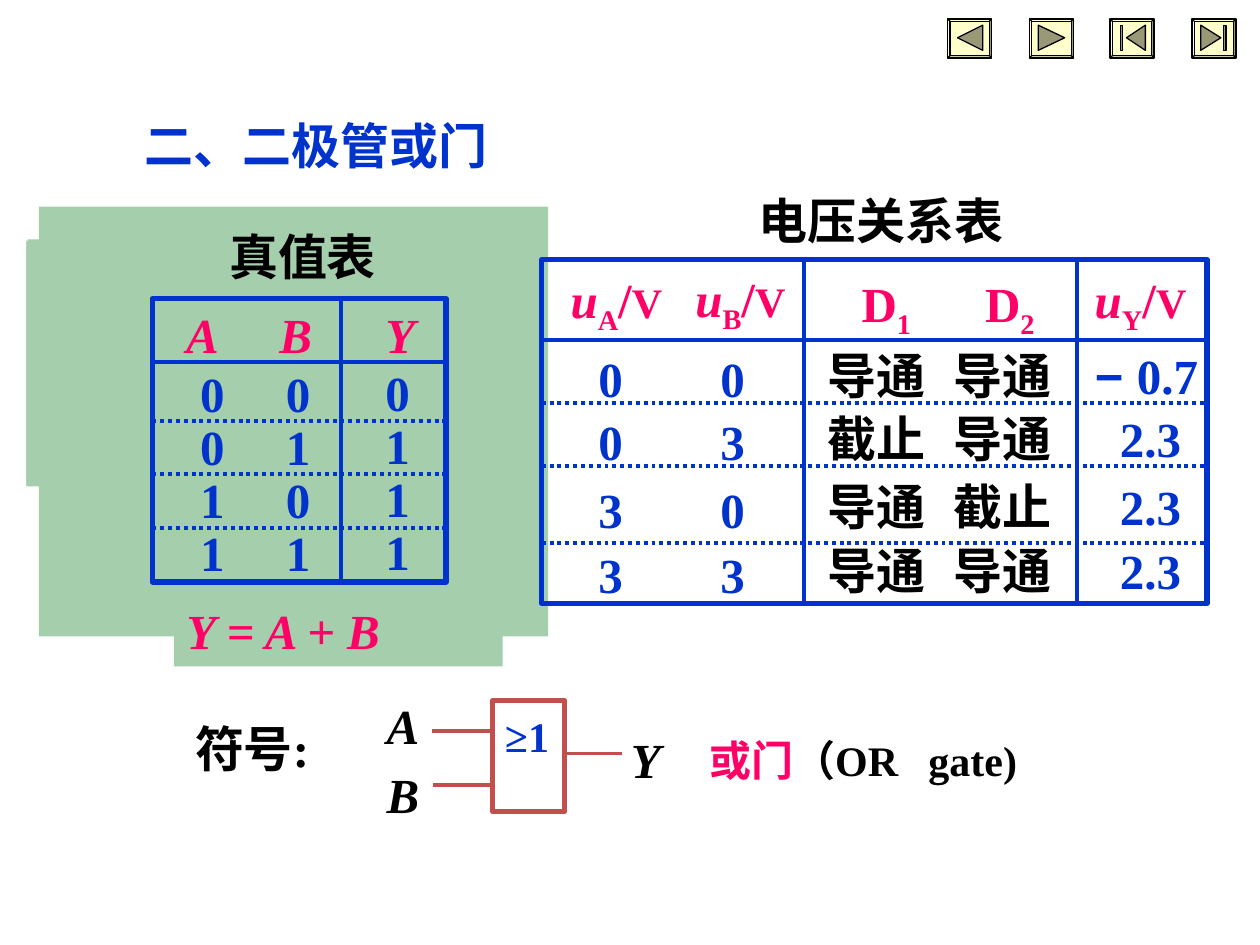
from dataclasses import dataclass
from typing import Optional, Sequence

from lxml import etree
from pptx import Presentation
from pptx.dml.color import RGBColor
from pptx.enum.dml import MSO_LINE
from pptx.enum.shapes import MSO_CONNECTOR, MSO_SHAPE
from pptx.oxml.ns import qn
from pptx.util import Inches, Pt

RECT, BEVEL = MSO_SHAPE.RECTANGLE, MSO_SHAPE.BEVEL
STRAIGHT, DOTTED = MSO_CONNECTOR.STRAIGHT, MSO_LINE.ROUND_DOT

BLUE, PINK, BLACK = "0033CC", "FF0066", "000000"
RED, GREEN, CREAM, OLIVE = "C0504D", "A5CEAD", "FFFFCC", "999978"
SERIF, SANS, CJK = "Times New Roman", "Arial", "Noto Sans CJK SC"


@dataclass
class Run:
    text: str
    font: Optional[str] = None
    size: Optional[float] = None
    color: Optional[str] = None
    italic: Optional[bool] = None
    subscript: bool = False


@dataclass
class Button:
    left: float
    triangle: Sequence[tuple[float, float]]
    bar: Optional[float] = None


def rgb(color: str) -> RGBColor:
    return RGBColor.from_string(color)


def add_text(shapes, x: float, y: float, w: float, *lines, color: str = BLACK,
             size: float = 28, italic: bool = False, tab: Optional[float] = None,
             spacing: Optional[float] = None, h: float = 0.57) -> None:
    """Add a bold text box; a line is a string or a list of Runs."""
    tf = shapes.add_textbox(Inches(x), Inches(y), Inches(w), Inches(h)).text_frame
    tf.word_wrap = True
    for i, line in enumerate(lines):
        p = tf.paragraphs[0] if i == 0 else tf.add_paragraph()
        if spacing:
            p.line_spacing = spacing
        if tab:
            tabs = etree.SubElement(p._p.get_or_add_pPr(), qn("a:tabLst"))
            etree.SubElement(tabs, qn("a:tab"), pos=str(Inches(tab)), algn="l")
        p.font.name, p.font.size = SERIF, Pt(size)
        p.font.bold, p.font.italic = True, italic
        p.font.color.rgb = rgb(color)
        for run in [Run(line)] if isinstance(line, str) else line:
            r = p.add_run()
            r.text = run.text
            if run.font:
                r.font.name = run.font
            if run.size:
                r.font.size = Pt(run.size)
            if run.color:
                r.font.color.rgb = rgb(run.color)
            if run.italic is not None:
                r.font.italic = run.italic
            if run.subscript:
                r._r.get_or_add_rPr().set("baseline", "-25000")


def style(s, fill: Optional[str], line: Optional[str], width: float) -> None:
    s.shadow.inherit = False
    if fill:
        s.fill.solid()
        s.fill.fore_color.rgb = rgb(fill)
    else:
        s.fill.background()
    if line:
        s.line.color.rgb = rgb(line)
        s.line.width = Pt(width)
    else:
        s.line.fill.background()


def add_box(shapes, x: float, y: float, w: float, h: float, fill: Optional[str] = None,
            line: Optional[str] = None, width: float = 3, kind=RECT):
    s = shapes.add_shape(kind, Inches(x), Inches(y), Inches(w), Inches(h))
    style(s, fill, line, width)
    return s


def add_line(shapes, x1: float, y1: float, x2: float, y2: float,
             color: str = BLUE, dotted: bool = False) -> None:
    s = shapes.add_connector(STRAIGHT, Inches(x1), Inches(y1), Inches(x2), Inches(y2))
    s.line.color.rgb = rgb(color)
    s.line.width = Pt(2.25)
    if dotted:
        s.line.dash_style = DOTTED
    etree.SubElement(s._element.spPr, qn("a:effectLst"))


def add_grid(shapes, x: float, y: float, w: float, h: float, header: float,
             columns: Sequence[float], rows: Sequence[float]) -> None:
    """Frame with a solid header rule, column rules and dotted row rules."""
    add_line(shapes, x, header, x + w, header)
    for column in columns:
        add_line(shapes, column, y, column, y + h)
    add_box(shapes, x, y, w, h, line=BLUE)
    for row in rows:
        add_line(shapes, x, row, x + w, row, dotted=True)


def add_button(shapes, button: Button) -> None:
    top = 0.15
    s = add_box(shapes, button.left, top, 0.35, 0.31, CREAM, BLACK, 0.75, BEVEL)
    s.adjustments[0] = 0.06
    points = [(Inches(button.left + x), Inches(top + y)) for x, y in button.triangle]
    builder = shapes.build_freeform(*points[0], scale=1.0)
    builder.add_line_segments(points[1:], close=True)
    style(builder.convert_to_shape(), OLIVE, BLACK, 0.75)
    if button.bar is not None:
        add_box(shapes, button.left + button.bar, top + 0.05, 0.02, 0.2, OLIVE, BLACK, 0.75)


def voltage(subscript: str) -> list[Run]:
    return [Run("u", italic=True), Run(subscript, subscript=True), Run("/"), Run("V", size=24)]


def draw_truth_table(shapes) -> None:
    for x, y in ((0.22, 1.9), (0.21, 1.91), (0.21, 1.92), (0.27, 1.91)):
        add_box(shapes, x, y, 1.1, 1.94, GREEN)
    add_box(shapes, 0.31, 1.64, 4.04, 3.41, GREEN)
    add_text(shapes, 1.72, 1.75, 3.11, "真值表")
    add_text(shapes, 1.38, 2.37, 1.3, "A\tB", color=PINK, italic=True, tab=0.74)
    add_text(shapes, 2.96, 2.37, 0.54, "Y", color=PINK, italic=True)
    add_text(shapes, 1.49, 2.89, 1.17, "0\t0", "0\t1", "1\t0", "1\t1",
             color=BLUE, tab=0.68, spacing=0.9, h=1.78)
    add_text(shapes, 2.96, 2.88, 0.42, *"0111", color=BLUE, spacing=0.9, h=1.78)
    add_grid(shapes, 1.21, 2.37, 2.33, 2.25, 2.87, [2.71], [3.34, 3.76, 4.19])


def draw_voltage_table(shapes) -> None:
    add_text(shapes, 5.92, 1.46, 3.79, "电压关系表")
    for x, y, name in ((4.43, 2.09, "A"), (5.42, 2.08, "B"), (8.59, 2.09, "Y")):
        add_text(shapes, x, y, 1, voltage(name), color=PINK, h=0.63)
    diodes = [Run("D"), Run("1", subscript=True), Run("\tD"), Run("2", subscript=True)]
    add_text(shapes, 6.74, 2.12, 1.65, diodes, color=PINK, tab=0.98, h=0.63)
    rows = [(2.72, "0\t0", "导通", "导通", [Run("− ", font=SANS), Run("0.7")]),
            (3.22, "0\t3", "截止", "导通", "2.3"),
            (3.76, "3\t0", "导通", "截止", "2.3"),
            (4.27, "3\t3", "导通", "导通", "2.3")]
    for y, inputs, diode_1, diode_2, output in rows:
        add_text(shapes, 4.65, y, 1.4, inputs, color=BLUE, tab=0.97)
        add_text(shapes, 6.47, y - 0.03, 1, diode_1)
        add_text(shapes, 7.47, y - 0.03, 1, diode_2)
        x = 8.79 if isinstance(output, str) else 8.59
        add_text(shapes, x, y - 0.03, 1.18, output, color=BLUE)
    add_grid(shapes, 4.3, 2.06, 5.28, 2.73, 2.7, [6.38, 8.55], [3.2, 3.7, 4.31])


def draw_gate_symbol(shapes) -> None:
    add_text(shapes, 1.45, 5.65, 1.5, "符号:")
    for x, y in ((3.43, 5.8), (3.44, 6.23), (4.48, 5.98)):
        add_line(shapes, x, y, x + 0.46, y, RED)
    for x, y, name in ((2.97, 5.47, "A"), (2.97, 6.02, "B"), (4.91, 5.74, "Y")):
        add_text(shapes, x, y, 0.46, name, italic=True)
    add_text(shapes, 3.91, 5.59, 0.6, "≥1", color=BLUE, size=24)
    add_box(shapes, 3.91, 5.56, 0.57, 0.88, line=RED)
    add_text(shapes, 5.53, 5.78, 4.47, [Run("或门", color=PINK), Run("（OR\tgate)")],
             size=24, tab=1.74, h=0.5)


def main() -> None:
    prs = Presentation()
    prs.slide_width, prs.slide_height = Inches(10), Inches(7.5)
    shapes = prs.slides.add_slide(prs.slide_layouts[6]).shapes

    add_text(shapes, 1.05, 0.87, 4.57, [Run("二、"), Run("二极管或门", font=CJK)], color=BLUE)
    draw_gate_symbol(shapes)
    draw_truth_table(shapes)
    draw_voltage_table(shapes)
    add_box(shapes, 1.38, 4.72, 2.61, 0.57, GREEN)
    add_text(shapes, 1.38, 4.72, 2.61, "Y = A + B", color=PINK, italic=True)

    for button in (Button(7.52, [(0.08, 0.15), (0.28, 0.05), (0.28, 0.25)]),
                   Button(8.17, [(0.07, 0.05), (0.28, 0.15), (0.07, 0.25)]),
                   Button(8.81, [(0.13, 0.15), (0.28, 0.05), (0.28, 0.25)], bar=0.08),
                   Button(9.46, [(0.23, 0.15), (0.07, 0.25), (0.07, 0.05)], bar=0.25)):
        add_button(shapes, button)

    prs.save("out.pptx")


if __name__ == "__main__":
    main()
